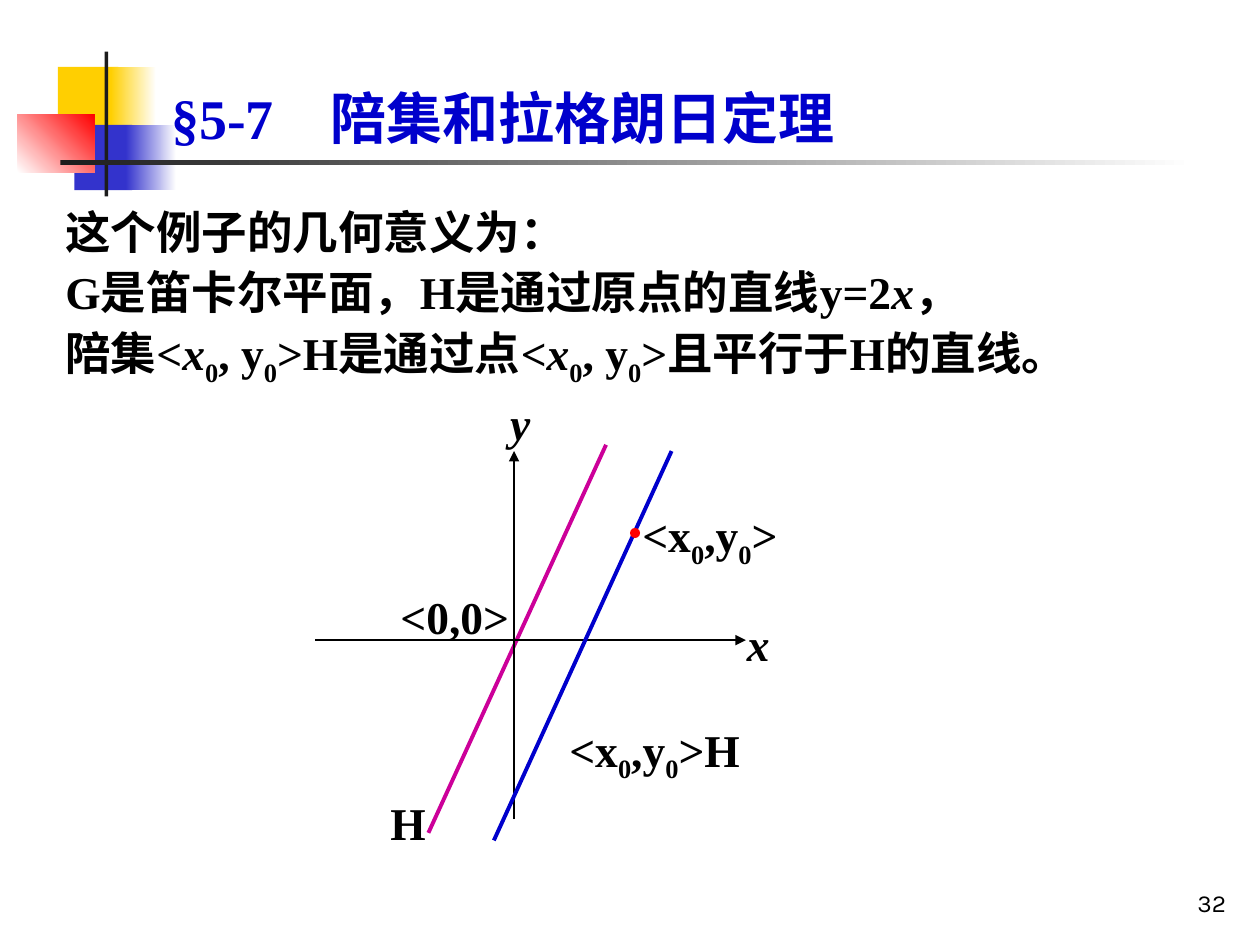
from lxml import etree
from pptx import Presentation
from pptx.dml.color import RGBColor
from pptx.enum import shapes, text
from pptx.oxml.ns import qn
from pptx.util import Inches, Pt

COLORS = {
    "black": "000000", "white": "FFFFFF", "dark": "1C1C1C", "blue": "0000CC",
    "magenta": "CC0099", "red": "FF0000", "yellow": "FFCF01", "indigo": "3333CC",
}
SERIF = "Times New Roman"


def rgb(name):
    return RGBColor.from_string(COLORS[name])


def write_text(tf, content, size=26, font=SERIF, color="black", bold=True,
               align=None, anchor=None, line=None, before=None, hanging=None):
    """Fill a frame, one paragraph a line; *x* is italic and _0_ is subscript."""
    tf.word_wrap = True
    tf.vertical_anchor = anchor
    for n, paragraph in enumerate(content.split("\n")):
        p = tf.add_paragraph() if n else tf.paragraphs[0]
        p.alignment, p.line_spacing = align, line
        if before is not None:
            p.space_before = Pt(before)
        if hanging:
            pPr = p._p.get_or_add_pPr()
            pPr.set("marL", str(Inches(hanging)))
            pPr.set("indent", str(-Inches(hanging)))
        for i, part in enumerate(paragraph.split("_")):
            for j, piece in enumerate(part.split("*")):
                if not piece:
                    continue
                r = p.add_run()
                r.text = piece
                r.font.size, r.font.name, r.font.bold = Pt(size), font, bold
                r.font.color.rgb = rgb(color)
                if j % 2:
                    r.font.italic = True
                if i % 2:
                    r._r.get_or_add_rPr().set("baseline", "-25000")


def add_text(s, box, content, **fmt):
    sp = s.shapes.add_textbox(*map(Inches, box))
    write_text(sp.text_frame, content, **fmt)
    return sp


def add_label(s, box, content):
    sp = add_text(s, box, content, line=1.2, before=16.2)
    sp.text_frame.auto_size = text.MSO_AUTO_SIZE.SHAPE_TO_FIT_TEXT


def add_block(s, box, start, end=None, angle=0, kind=shapes.MSO_SHAPE.RECTANGLE):
    """Add a borderless shape, with a gradient when an end colour is given."""
    sp = s.shapes.add_shape(kind, *map(Inches, box))
    sp.shadow.inherit = False
    sp.line.fill.background()
    if end:
        sp.fill.gradient()
        sp.fill.gradient_angle = angle
        for stop, name, position in zip(sp.fill.gradient_stops, (start, end), (0, 1)):
            stop.color.rgb = rgb(name)
            stop.position = position
    else:
        sp.fill.solid()
        sp.fill.fore_color.rgb = rgb(start)


def add_line(s, ends, color, width, arrow=False):
    cxn = s.shapes.add_connector(shapes.MSO_CONNECTOR.STRAIGHT, *map(Inches, ends))
    cxn.line.color.rgb = rgb(color)
    cxn.line.width = Pt(width)
    if arrow:
        etree.SubElement(cxn.line._get_or_add_ln(), qn("a:tailEnd"), type="triangle")
    etree.SubElement(cxn._element.spPr, qn("a:effectLst"))


def add_decoration(s):
    add_block(s, (0.46, 0.53, 0.48, 0.52), "yellow")
    add_block(s, (0.88, 0.53, 0.36, 0.52), "yellow", "white")
    add_block(s, (0.59, 0.99, 0.46, 0.52), "indigo")
    add_block(s, (1, 0.99, 0.4, 0.52), "indigo", "white")
    add_block(s, (0.14, 0.91, 0.61, 0.46), "white", "red", angle=45)
    add_block(s, (0.83, 0.41, 0.03, 1.15), "dark")
    add_block(s, (0.48, 1.27, 9, 0.04), "dark", "white")


def add_title(s, content):
    title = s.shapes.title
    title.left, title.top = Inches(1.26), Inches(0)
    title.width, title.height = Inches(8.52), Inches(1.25)
    write_text(title.text_frame, content, size=32, color="blue",
               align=text.PP_ALIGN.LEFT, anchor=text.MSO_ANCHOR.BOTTOM)
    # Keep the title in front of the decoration
    s.shapes._spTree.append(title._element)


def add_diagram(s):
    # Subgroup H, the two axes and the coset line
    add_line(s, (3.4, 6.61, 4.81, 3.53), "magenta", 2.25)
    add_line(s, (2.5, 5.08, 5.92, 5.08), "black", 1.5, arrow=True)
    add_line(s, (4.08, 6.5, 4.08, 3.58), "black", 1.5, arrow=True)
    add_line(s, (3.92, 6.67, 5.33, 3.58), "blue", 2.25)
    # Point on the coset
    add_block(s, (5, 4.19, 0.08, 0.08), "red", kind=shapes.MSO_SHAPE.OVAL)
    # Labels
    for box, content in (
        ((3, 6.17, 0.67, 0.62), "H"),
        ((5.83, 4.75, 0.42, 0.62), "*x*"),
        ((3.95, 3, 0.58, 0.62), "*y*"),
        ((3.08, 4.54, 1.08, 0.62), "<0,0>"),
        ((5, 3.88, 1.33, 0.69), "<x_0_,y_0_>"),
        ((4.42, 5.58, 1.67, 0.69), "<x_0_,y_0_>H"),
    ):
        add_label(s, box, content)


def main():
    prs = Presentation()
    prs.slide_width, prs.slide_height = Inches(10), Inches(7.5)
    s = prs.slides.add_slide(prs.slide_layouts[5])

    add_decoration(s)
    add_text(s, (7.75, 6.83, 2.08, 0.5), "32", size=14, font="Karla", bold=False,
             align=text.PP_ALIGN.RIGHT, anchor=text.MSO_ANCHOR.BOTTOM)
    add_title(s, "§5-7　陪集和拉格朗日定理")
    add_text(s, (0.42, 1.53, 8.58, 1.72),
             "这个例子的几何意义为：\n"
             "G是笛卡尔平面，H是通过原点的直线y=2*x*，\n"
             "陪集<*x*_0_, y_0_>H是通过点<*x*_0_, y_0_>且平行于H的直线。",
             line=1.1, hanging=0.38)
    add_diagram(s)

    prs.save("out.pptx")


if __name__ == "__main__":
    main()
